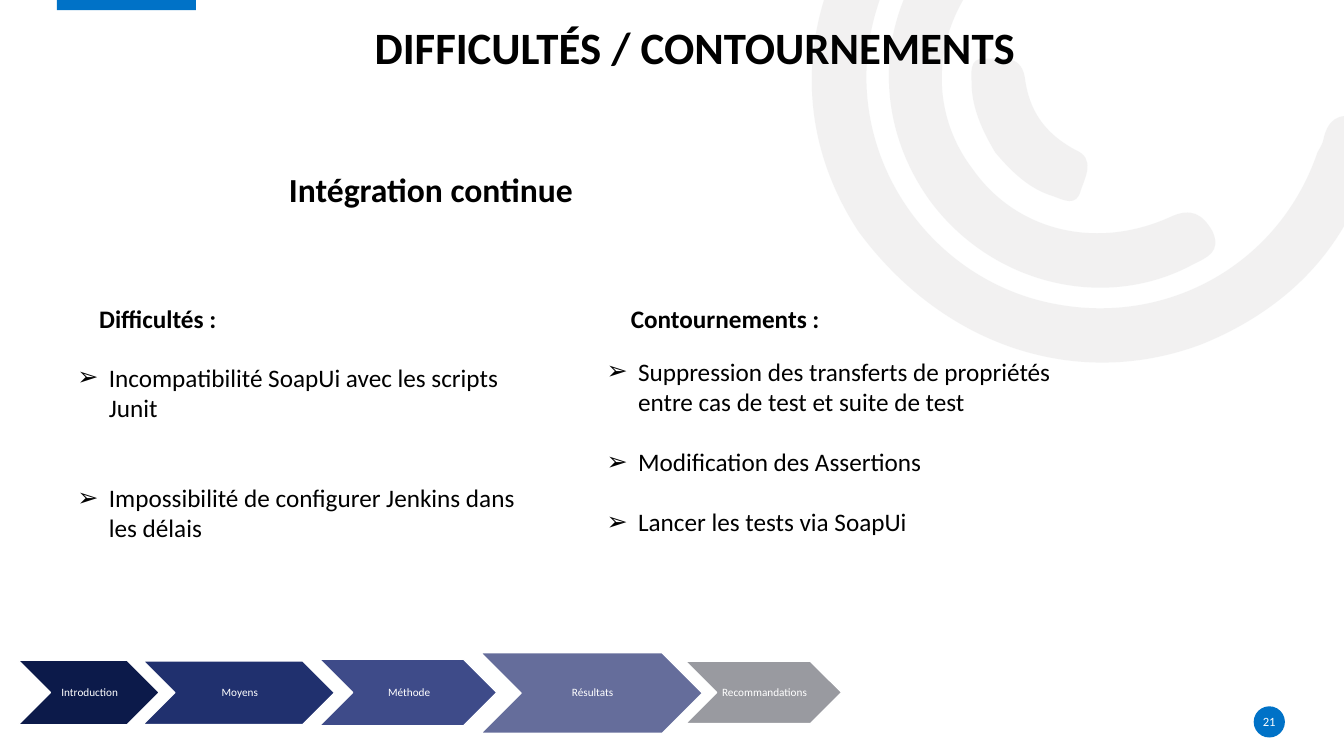
import pptx
import pptx.dml.color
import pptx.enum.shapes
import pptx.enum.text
import pptx.oxml
import pptx.oxml.ns
import pptx.util

Pt = pptx.util.Pt
RGBColor = pptx.dml.color.RGBColor
ALIGN = pptx.enum.text.PP_ALIGN
ANCHOR = pptx.enum.text.MSO_ANCHOR
SHAPE = pptx.enum.shapes.MSO_SHAPE
qn = pptx.oxml.ns.qn
DRAWING_NS = pptx.oxml.ns.nsdecls("a")

BLACK = RGBColor(0x00, 0x00, 0x00)
WHITE = RGBColor(0xFF, 0xFF, 0xFF)
BLUE = RGBColor(0x00, 0x72, 0xC7)
RING_GREY = RGBColor(0xE7, 0xE6, 0xE6)
NAVY = RGBColor(0x0C, 0x1A, 0x4A)
DARK_BLUE = RGBColor(0x20, 0x30, 0x6E)
INDIGO = RGBColor(0x3E, 0x4B, 0x89)
LAVENDER = RGBColor(0x65, 0x6D, 0x9B)
STEP_GREY = RGBColor(0x99, 0x9A, 0xA0)

TITLE_FONT = {"name": "Calibri", "size": Pt(32), "bold": True, "color": BLACK}
SECTION_FONT = {**TITLE_FONT, "size": Pt(24)}
HEADING_FONT = {**TITLE_FONT, "size": Pt(18)}
BODY_FONT = {**HEADING_FONT, "bold": False}
STEP_FONT = {**BODY_FONT, "size": Pt(8), "color": WHITE}
NUMBER_FONT = {**STEP_FONT, "size": Pt(9)}


def write(paragraph, text, font_values, alignment):
    paragraph.text = text
    paragraph.alignment = alignment
    for attribute, value in font_values.items():
        if attribute == "color":
            paragraph.font.color.rgb = value
        else:
            setattr(paragraph.font, attribute, value)


def set_insets(frame, left, top, right, bottom):
    frame.margin_left, frame.margin_top = Pt(left), Pt(top)
    frame.margin_right, frame.margin_bottom = Pt(right), Pt(bottom)


deck = pptx.Presentation()
deck.slide_width, deck.slide_height = Pt(960), Pt(540)
slide = deck.slides.add_slide(deck.slide_layouts[5])
shapes = slide.shapes

# Background rings: Bézier curves (two controls, one end), closed on the last end
rings = [
    [(575, 107, 567, 36, 603, -36), (641, -109, 703, -146, 785, -149),
     (796, -149, 807, -151, 814, -140), (824, -126, 811, -111, 791, -111),
     (696, -111, 623, -42, 619, 49), (616, 130, 674, 202, 753, 217),
     (835, 233, 914, 188, 941, 109), (942, 107, 944, 104, 945, 101),
     (948, 86, 955, 80, 971, 84), (989, 89, 984, 102, 980, 112),
     (964, 176, 920, 221, 858, 246), (770, 279, 674, 248, 613, 165)],
    [(621, 83, 626, 5, 677, -49), (685, -57, 693, -68, 706, -56),
     (716, -46, 718, -36, 705, -23), (666, 19, 662, 78, 695, 121),
     (726, 165, 783, 179, 836, 155), (851, 148, 859, 153, 866, 165),
     (873, 180, 862, 184, 852, 189), (789, 223, 708, 203, 664, 143)],
    [(702, 94, 694, 77, 694, 59), (694, 53, 692, 41, 703, 42),
     (714, 42, 729, 38, 732, 55), (735, 79, 746, 95, 768, 107),
     (783, 113, 775, 127, 772, 136), (769, 148, 760, 143, 752, 140),
     (735, 135, 722, 122, 711, 109)],
]
for curves in rings:
    start_x, start_y = curves[-1][4:]
    outline = shapes.build_freeform(Pt(start_x), Pt(start_y))
    outline.add_line_segments([(Pt(c[4]), Pt(c[5])) for c in curves], close=True)
    ring = outline.convert_to_shape()
    ring.shadow.inherit = False
    ring.fill.solid()
    ring.fill.fore_color.rgb = RING_GREY
    ring.line.fill.background()
    color = ring.fill._xPr.find(".//" + qn("a:srgbClr"))
    color.append(pptx.oxml.parse_xml(f'<a:alpha {DRAWING_NS} val="53000"/>'))
    segments = list(ring._element.iter(qn("a:lnTo")))
    for segment, curve in zip(segments, curves):
        points = "".join(
            f'<a:pt x="{Pt(x) - ring.left}" y="{Pt(y) - ring.top}"/>'
            for x, y in zip(curve[::2], curve[1::2]))
        bezier = pptx.oxml.parse_xml(
            f'<a:cubicBezTo {DRAWING_NS}>{points}</a:cubicBezTo>')
        segment.getparent().replace(segment, bezier)

# Top tab, page number and progress steps
blocks = [
    (SHAPE.RECTANGLE, 40.6, -1.4, 99.4, 8.6, BLUE, "", NUMBER_FONT),
    (SHAPE.OVAL, 895.5, 504.5, 22.3, 22.3, BLUE, "21", NUMBER_FONT),
    (SHAPE.CHEVRON, 13, 471.6, 100.8, 46.1, NAVY, "Introduction", STEP_FONT),
    (SHAPE.CHEVRON, 102.2, 472.1, 136.8, 45.4, DARK_BLUE, "Moyens", STEP_FONT),
    (SHAPE.CHEVRON, 228.2, 470.9, 126.7, 47.5, INDIGO, "Méthode", STEP_FONT),
    (SHAPE.CHEVRON, 343.4, 466.3, 158.4, 57.6, LAVENDER, "Résultats", STEP_FONT),
    (SHAPE.CHEVRON, 489.6, 472.3, 111.6, 44.6, STEP_GREY, "Recommandations", STEP_FONT),
]
for kind, left, top, width, height, fill, label, font_values in blocks:
    block = shapes.add_shape(kind, Pt(left), Pt(top), Pt(width), Pt(height))
    block.shadow.inherit = False
    block.fill.solid()
    block.fill.fore_color.rgb = fill
    block.line.fill.background()
    frame = block.text_frame
    set_insets(frame, 0, 0, 0, 0)
    if kind == SHAPE.CHEVRON:
        block.line.color.rgb = WHITE
        block.line.width = Pt(1)
        set_insets(frame, 2.2, 0.7, 0.7, 0.7)
        frame.paragraphs[0].line_spacing = 0.9
    frame.vertical_anchor = ANCHOR.MIDDLE
    if label:
        write(frame.paragraphs[0], label, font_values, ALIGN.CENTER)

# Section name and column headings
headings = [
    (172.8, 117.4, 36, "Intégration continue", SECTION_FONT),
    (-22.3, 213.1, 29, "Difficultés :", HEADING_FONT),
    (383, 213.1, 29, "Contournements :", HEADING_FONT),
]
for left, top, height, text, font_values in headings:
    heading = shapes.add_textbox(Pt(left), Pt(top), Pt(270), Pt(height))
    heading.text_frame.word_wrap = True
    write(heading.text_frame.paragraphs[0], text, font_values, ALIGN.CENTER)

# Bulleted columns: left, top, space between items, items
columns = [
    (48.2, 254.9, 43, [
        "Incompatibilité SoapUi avec les scripts Junit",
        "Impossibilité de configurer Jenkins dans les délais"]),
    (426.2, 250.6, 21.5, [
        "Suppression des transferts de propriétés entre cas de test et suite de test",
        "Modification des Assertions",
        "Lancer les tests via SoapUi"]),
]
for left, top, gap, items in columns:
    frame = shapes.add_textbox(Pt(left), Pt(top), Pt(334.8), Pt(138.2)).text_frame
    frame.word_wrap = True
    for index, item in enumerate(items):
        paragraph = frame.add_paragraph() if index else frame.paragraphs[0]
        properties = paragraph._p.get_or_add_pPr()
        properties.set("marL", str(Pt(22.5)))
        properties.set("indent", str(Pt(-22.5)))
        for bullet in ('buFont {} typeface="Calibri"', 'buChar {} char="➢"'):
            properties.append(pptx.oxml.parse_xml(f"<a:{bullet.format(DRAWING_NS)}/>"))
        write(paragraph, item, BODY_FONT, ALIGN.LEFT)
        if index:
            paragraph.space_before = Pt(gap)

title = shapes.title
title.left, title.top, title.width, title.height = Pt(57.6), Pt(-19.4), Pt(877.7), Pt(72.7)
set_insets(title.text_frame, 0, 0, 0, 0)
title.text_frame.auto_size = pptx.enum.text.MSO_AUTO_SIZE.NONE
title.text_frame.vertical_anchor = ANCHOR.BOTTOM
write(title.text_frame.paragraphs[0], "DIFFICULTÉS / CONTOURNEMENTS", TITLE_FONT, ALIGN.CENTER)
title.text_frame.paragraphs[0].line_spacing = 0.9
shapes._spTree.append(title._element)

deck.save("out.pptx")
